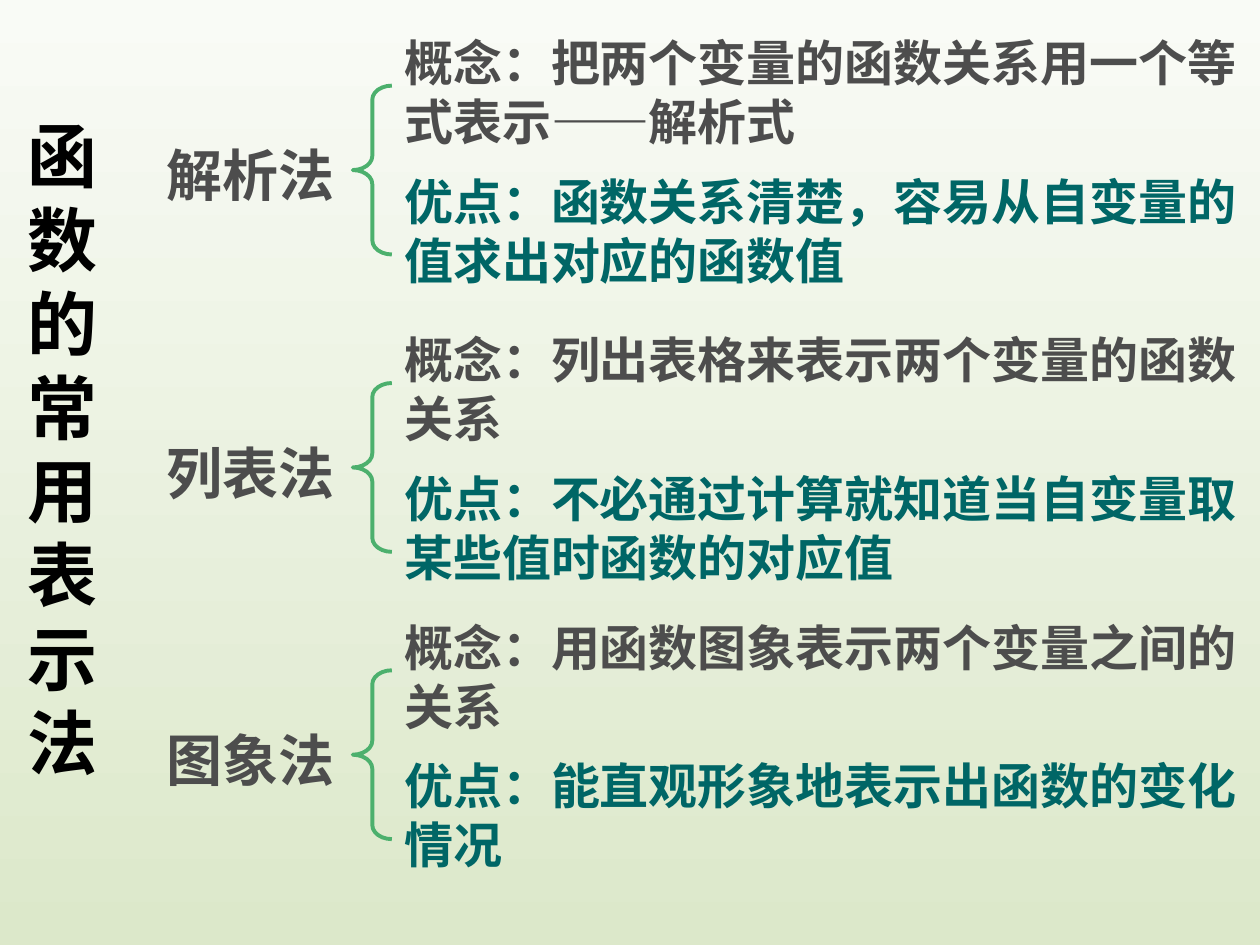
from pptx import Presentation
from pptx.dml.color import RGBColor
from pptx.enum.shapes import MSO_SHAPE
from pptx.util import Inches, Pt

LEFT_BRACE = MSO_SHAPE.LEFT_BRACE
GRAY = "4D4D4D"
TEAL = "006666"
GREEN = "4CB06D"

METHODS = [
    (0.21, "解析法",
     "概念：把两个变量的函数关系用一个等式表示——解析式",
     "优点：函数关系清楚，容易从自变量的值求出对应的函数值"),
    (2.57, "列表法",
     "概念：列出表格来表示两个变量的函数关系",
     "优点：不必通过计算就知道当自变量取某些值时函数的对应值"),
    (4.85, "图象法",
     "概念：用函数图象表示两个变量之间的关系",
     "优点：能直观形象地表示出函数的变化情况"),
]


def rgb(value):
    return RGBColor.from_string(value)


def paint_background(slide):
    fill = slide.background.fill
    fill.gradient()
    fill.gradient_angle = 270
    for stop, color, position in zip(fill.gradient_stops, ("F9FBF6", "DCE8CA"), (0, 1)):
        stop.color.rgb = rgb(color)
        stop.position = position


def add_text(slide, left, top, width, height, text, size, color, font="Arial"):
    box = slide.shapes.add_textbox(Inches(left), Inches(top), Inches(width), Inches(height))
    tf = box.text_frame
    tf.word_wrap = True
    r = tf.paragraphs[0].add_run()
    r.text = text
    r.font.name = font
    r.font.size = Pt(size)
    r.font.bold = True
    r.font.color.rgb = rgb(color)


def add_brace(slide, left, top, width, height):
    sp = slide.shapes.add_shape(LEFT_BRACE, Inches(left), Inches(top), Inches(width), Inches(height))
    sp.adjustments[0] = 0.36
    sp.shadow.inherit = False
    sp.fill.background()
    sp.line.color.rgb = rgb(GREEN)
    sp.line.width = Pt(2.25)


def add_method(slide, left, top, name, concept, merit):
    add_text(slide, left, top + 0.86, 1.57, 0.64, name, 32, GRAY)
    add_text(slide, left + 1.89, top, 6.89, 1.04, concept, 28, GRAY)
    add_text(slide, left + 1.89, top + 1.1, 6.85, 1.04, merit, 28, TEAL)
    add_brace(slide, left + 1.58, top + 0.47, 0.31, 1.34)


def main():
    prs = Presentation()
    prs.slide_width = Inches(10)
    prs.slide_height = Inches(7.5)
    slide = prs.slides.add_slide(prs.slide_layouts[6])
    paint_background(slide)
    add_text(slide, 0.12, 0.84, 0.87, 5.91, "函数的常用表示法", 40, "000000", "DejaVu Sans")
    for top, name, concept, merit in METHODS:
        add_method(slide, 1.22, top, name, concept, merit)
    prs.save("out.pptx")


if __name__ == "__main__":
    main()
